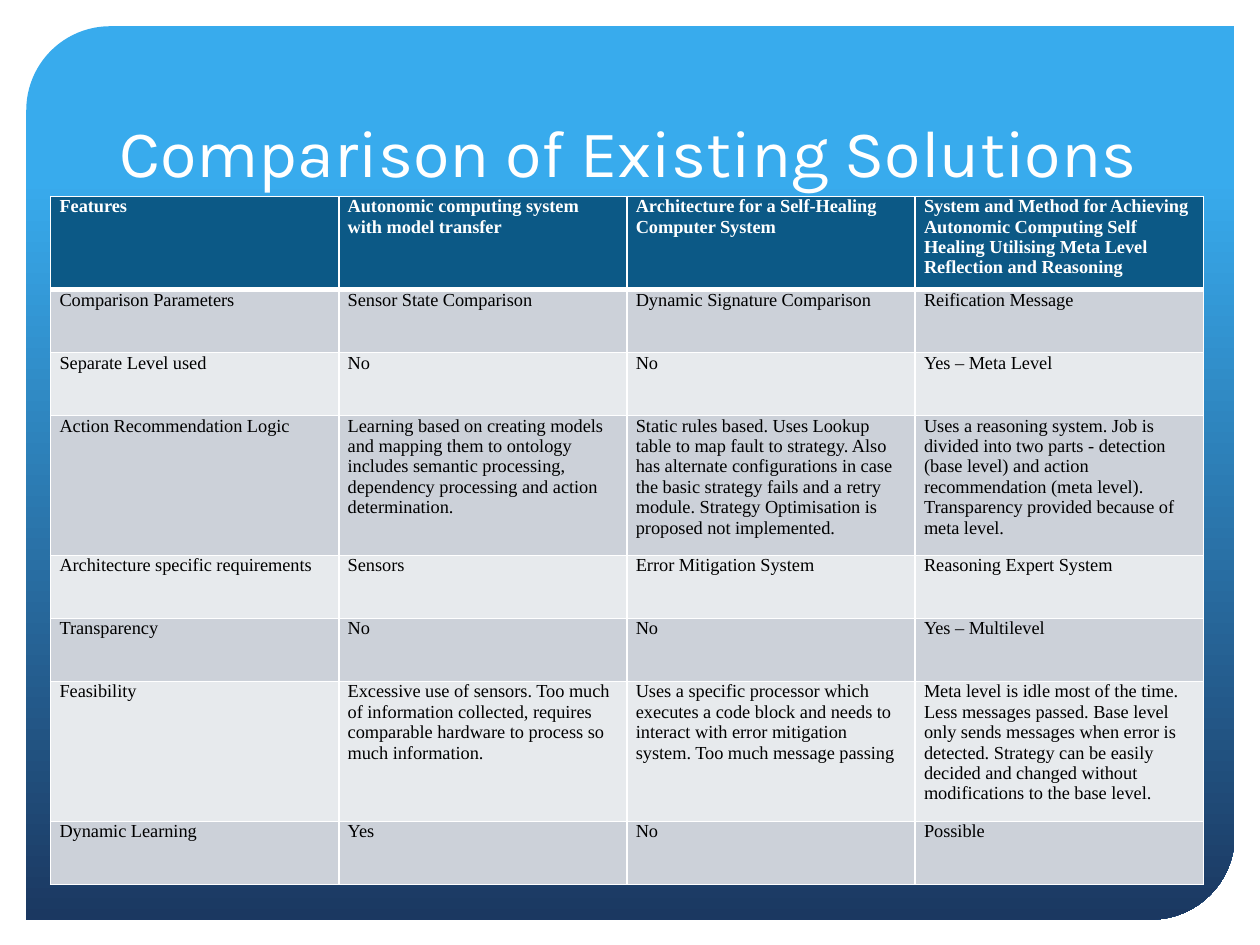
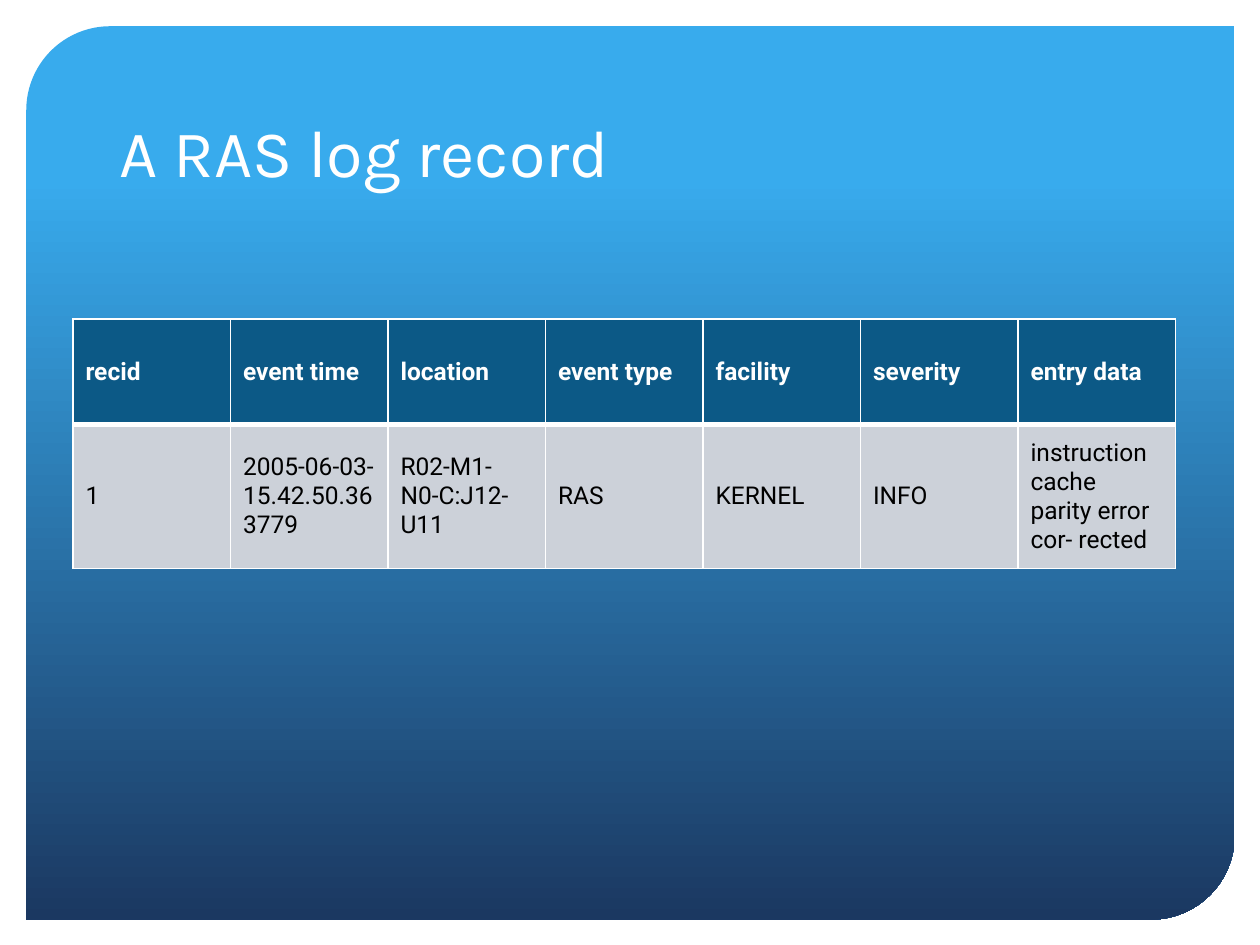
"""Builds two slides that compare self-healing systems and show a RAS log record."""
from lxml import etree
from pptx import Presentation
from pptx.dml.color import RGBColor
from pptx.enum.shapes import MSO_SHAPE
from pptx.enum.text import MSO_ANCHOR
from pptx.oxml.ns import qn
from pptx.util import Cm, Pt

PANEL = MSO_SHAPE.ROUND_2_DIAG_RECTANGLE
TOP, MIDDLE, BOTTOM = MSO_ANCHOR.TOP, MSO_ANCHOR.MIDDLE, MSO_ANCHOR.BOTTOM

COLORS = {
    "white": "FFFFFF",
    "black": "000000",
    "sky": "38ABED",
    "navy": "1B3861",
    "header": "0C5986",
    "odd": "CCD1D9",
    "even": "E7EAED",
}

TITLE_FONT = {"name": "Karla", "size": Pt(38), "bold": False}
COMPARISON_FONT = {"name": "Times New Roman", "size": Pt(10.5)}
RECORD_FONT = {"name": "Roboto", "size": Pt(14)}
COMPARISON_CELL = {
    "vertical_anchor": TOP,
    "margin_left": Cm(0.18),
    "margin_right": Cm(0.18),
    "margin_top": 0,
    "margin_bottom": 0,
}
RECORD_CELL = {"vertical_anchor": MIDDLE}

SHORT_ROW, LONG_ROW = 1.27, 2.82
COMPARISON_HEIGHTS = [1.88, SHORT_ROW, SHORT_ROW, LONG_ROW,
                      SHORT_ROW, SHORT_ROW, LONG_ROW, SHORT_ROW]
COMPARISON = [
    ["Features",
     "Autonomic computing system with model transfer",
     "Architecture for a Self-Healing Computer System",
     "System and Method for Achieving Autonomic Computing Self Healing "
     "Utilising Meta Level Reflection and Reasoning"],
    ["Comparison Parameters", "Sensor State Comparison",
     "Dynamic Signature Comparison", "Reification Message"],
    ["Separate Level used", "No", "No", "Yes – Meta Level"],
    ["Action Recommendation Logic",
     "Learning based on creating models and mapping them to ontology includes "
     "semantic processing, dependency processing and action determination.",
     "Static rules based. Uses Lookup table to map fault to strategy. Also has "
     "alternate configurations in case the basic strategy fails and a retry "
     "module. Strategy Optimisation is proposed not implemented.",
     "Uses a reasoning system. Job is divided into two parts - detection (base "
     "level) and action recommendation (meta level). Transparency provided "
     "because of meta level."],
    ["Architecture specific requirements", "Sensors",
     "Error Mitigation System", "Reasoning Expert System"],
    ["Transparency", "No", "No", "Yes – Multilevel"],
    ["Feasibility",
     "Excessive use of sensors. Too much of information collected, requires "
     "comparable hardware to process so much information.",
     "Uses a specific processor which executes a code block and needs to "
     "interact with error mitigation system. Too much message passing",
     "Meta level is idle most of the time. Less messages passed. Base level only "
     "sends messages when error is detected. Strategy can be easily decided and "
     "changed without modifications to the base level."],
    ["Dynamic Learning", "Yes", "No", "Possible"],
]

RECORD_HEIGHTS = [2.13, 2.9]
RECORD = [
    ["recid", "event time", "location", "event type",
     "facility", "severity", "entry data"],
    ["1", "2005-06-03- 15.42.50.363779", "R02-M1- N0-C:J12- U11", "RAS",
     "KERNEL", "INFO", "instruction cache parity error cor- rected"],
]


def rgb(color):
    return RGBColor.from_string(COLORS[color])


def apply(target, values):
    for name, value in values.items():
        setattr(target, name, value)


class Deck:
    def __init__(self):
        self.prs = Presentation()
        self.prs.slide_width, self.prs.slide_height = Cm(25.4), Cm(19.05)
        self.slide = None

    def add_slide(self, title):
        self.slide = self.prs.slides.add_slide(self.prs.slide_layouts[6])
        self.panel()
        self.title(title)

    def panel(self):
        panel = self.slide.shapes.add_shape(
            PANEL, Cm(0.53), Cm(0.53), Cm(24.36), Cm(18.01))
        panel.shadow.inherit = False
        panel.adjustments[0] = 0.094
        panel.adjustments[1] = 0
        panel.line.fill.background()
        panel.fill.gradient()
        panel.fill.gradient_angle = 270
        shades = [(0.17, "sky"), (1, "navy")]
        for stop, (position, color) in zip(panel.fill.gradient_stops, shades):
            stop.position = position
            stop.color.rgb = rgb(color)

    def title(self, text):
        frame = self.slide.shapes.add_textbox(
            Cm(2.16), Cm(1.07), Cm(21.06), Cm(2.9)).text_frame
        apply(frame, {"word_wrap": True, "vertical_anchor": BOTTOM})
        self.add_text(frame, text, TITLE_FONT, "white")

    def add_text(self, frame, text, font, color):
        run = frame.paragraphs[0].add_run()
        run.text = text
        apply(run.font, font)
        run.font.color.rgb = rgb(color)

    def table(self, rows, left, top, width, heights, font, cell_format):
        columns = len(rows[0])
        table = self.slide.shapes.add_table(
            len(rows), columns, Cm(left), Cm(top), Cm(width), Cm(sum(heights))).table
        apply(table, {"first_row": False, "horz_banding": False})
        for column in table.columns:
            column.width = Cm(width / columns)
        for index, (texts, height) in enumerate(zip(rows, heights)):
            table.rows[index].height = Cm(height)
            heading = index == 0
            fill = "header" if heading else ("even", "odd")[index % 2]
            for cell, text in zip(table.rows[index].cells, texts):
                apply(cell, cell_format)
                cell.fill.solid()
                cell.fill.fore_color.rgb = rgb(fill)
                self.add_text(cell.text_frame, text, {**font, "bold": heading},
                              "white" if heading else "black")
                self.borders(cell, {"L": 1, "R": 1, "T": 3 if index == 1 else 1,
                                    "B": 3 if heading else 1})

    def borders(self, cell, widths):
        properties = cell._tc.get_or_add_tcPr()
        for position, (side, width) in enumerate(widths.items()):
            line = etree.Element(qn(f"a:ln{side}"), w=str(Pt(width)))
            solid = etree.SubElement(line, qn("a:solidFill"))
            etree.SubElement(solid, qn("a:srgbClr"), val=COLORS["white"])
            properties.insert(position, line)


def main():
    deck = Deck()
    deck.add_slide("Comparison of Existing Solutions")
    deck.table(COMPARISON, 1.02, 3.96, 23.24, COMPARISON_HEIGHTS,
               COMPARISON_FONT, COMPARISON_CELL)
    deck.add_slide("A RAS log record")
    deck.table(RECORD, 1.47, 6.43, 22.23, RECORD_HEIGHTS, RECORD_FONT, RECORD_CELL)
    deck.prs.save("out.pptx")


if __name__ == "__main__":
    main()
